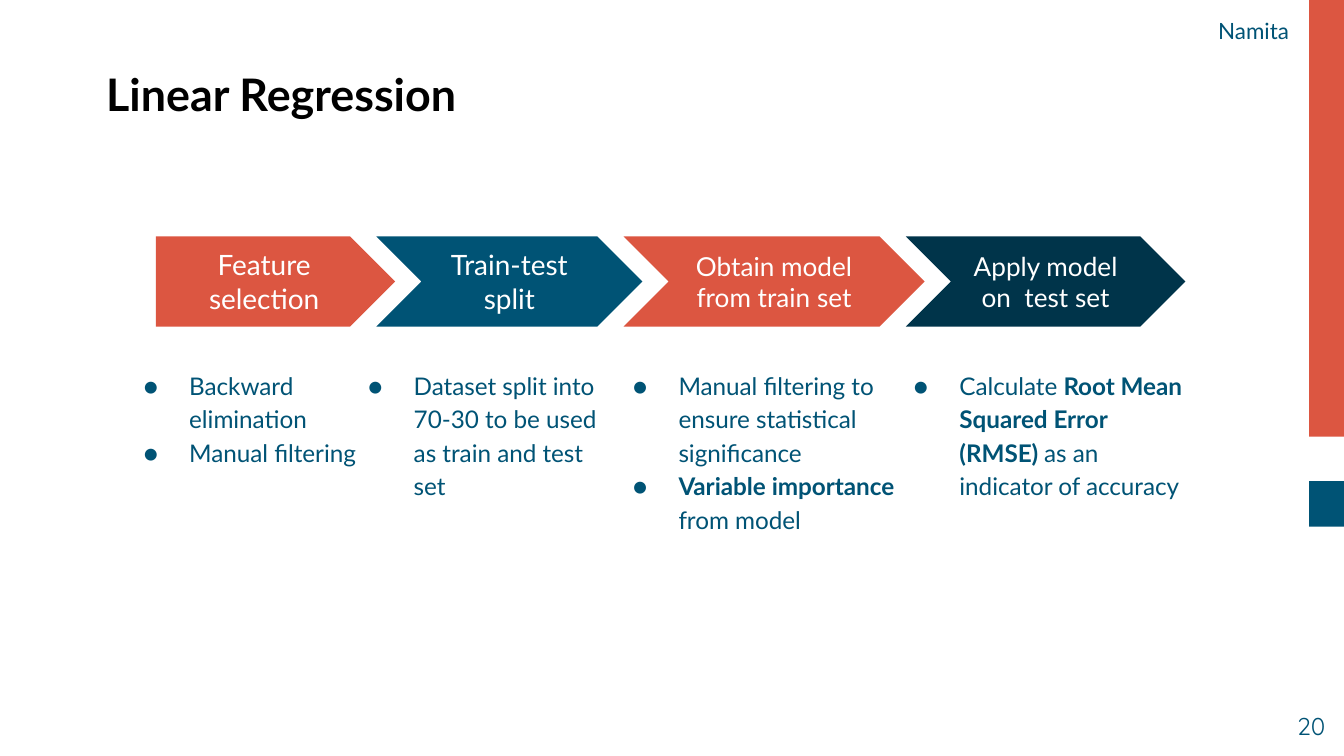
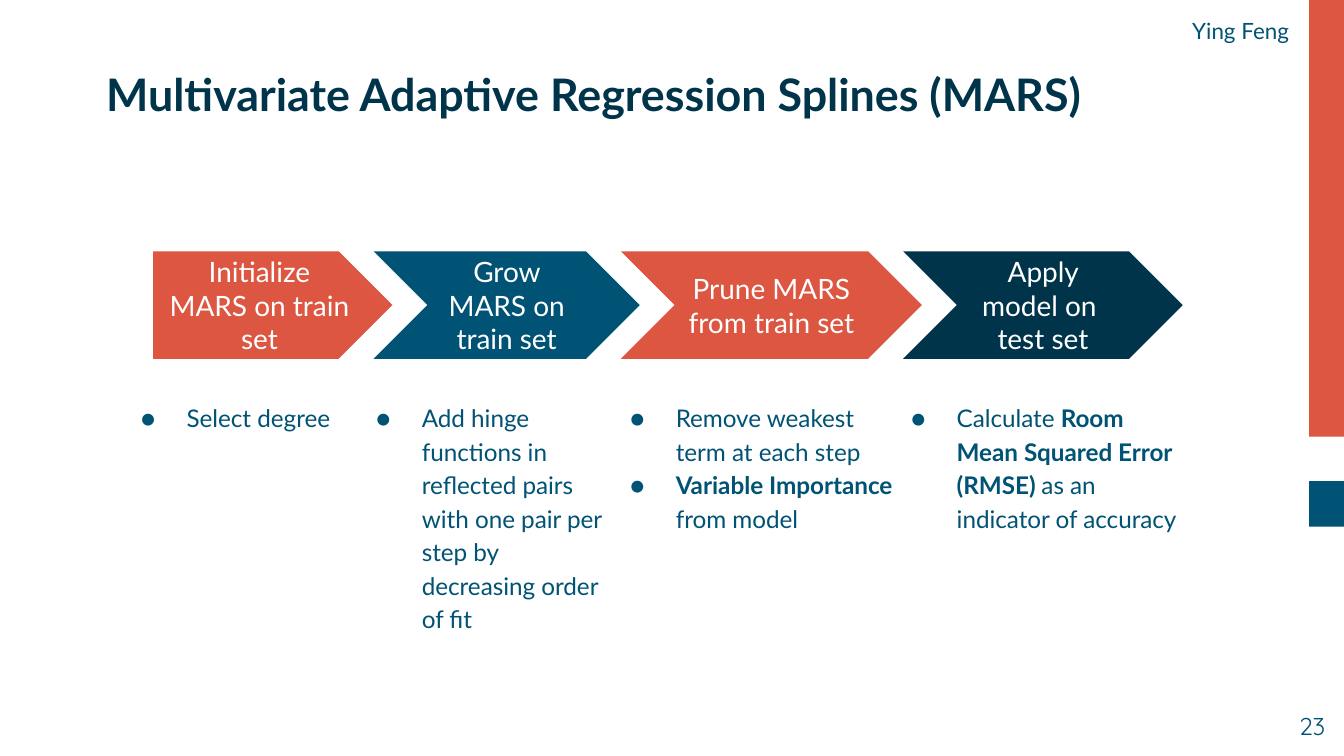
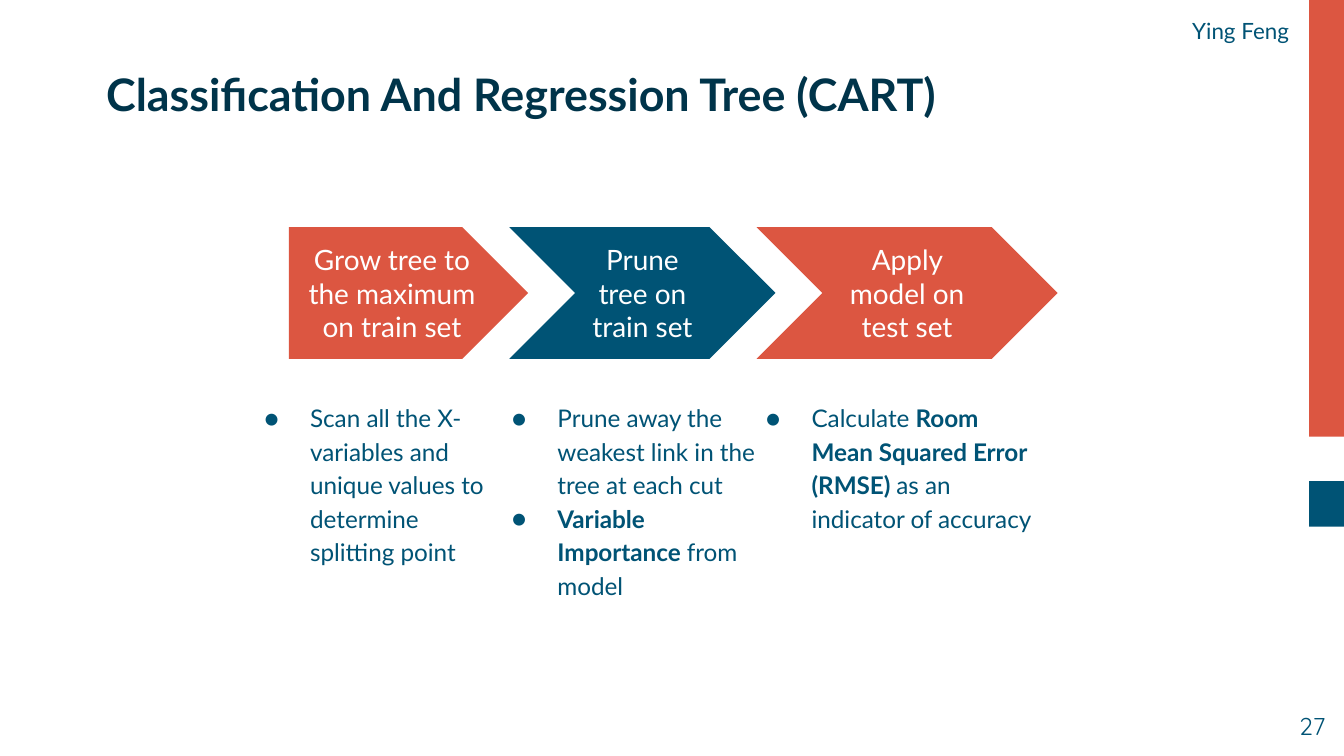
"""Builds three slides that show modelling workflows as arrow rows with notes."""
from collections import namedtuple
from dataclasses import dataclass

from lxml import etree
from pptx import Presentation
from pptx.dml.color import RGBColor
from pptx.enum.shapes import MSO_SHAPE, PP_PLACEHOLDER
from pptx.enum.text import MSO_ANCHOR, MSO_AUTO_SIZE, PP_ALIGN
from pptx.oxml.ns import qn
from pptx.util import Pt

PX = 9144
RECT, PENTAGON, CHEVRON = MSO_SHAPE.RECTANGLE, MSO_SHAPE.PENTAGON, MSO_SHAPE.CHEVRON
LEFT, CENTER, RIGHT = PP_ALIGN.LEFT, PP_ALIGN.CENTER, PP_ALIGN.RIGHT
TOP, MIDDLE = MSO_ANCHOR.TOP, MSO_ANCHOR.MIDDLE
NO_FIT = MSO_AUTO_SIZE.NONE
TITLE = PP_PLACEHOLDER.TITLE

Box = namedtuple("Box", "x y w h")
Step = namedtuple("Step", "label notes note_dx note_w size", defaults=(15,))
Flow = namedtuple("Flow", "title title_color speaker number box steps")


@dataclass(frozen=True)
class Theme:
    """Colours, fonts and type sizes of the deck."""
    coral: str = "DC5641"
    blue: str = "005375"
    navy: str = "00344A"
    black: str = "000000"
    white: str = "FFFFFF"
    font: str = "Lato"
    number_font: str = "Quicksand"
    title: int = 24
    body: int = 13
    speaker: int = 12
    leading: float = 1.15


T = Theme()
SLIDE_W = 1000 * PX
SLIDE_H = SLIDE_W * 9 // 16
TITLE_BOX = Box(69, 48, 882, 43)
SPEAKER_BOX = Box(691, 4, 278, 34)
NUMBER_BOX = Box(936, 519, 60, 43)
BANDS = [(Box(974, 0, 26, 325), T.coral), (Box(974, 358, 26, 34), T.blue)]
INSET, OVERLAP, NOTE_GAP, NOTE_H = 10, 14, 20, 146
NOTE_INDENT, BULLET_HANG = 50, 34
STAGE_W = [178, 198, 224, 208]
STAGE_FILLS = [T.coral, T.blue, T.coral, T.navy]

IMPORTANCE = "**Variable {}** from model"
RMSE = "Calculate **{} Mean Squared Error (RMSE) **as an indicator of accuracy"

FLOWS = [
    Flow("Linear Regression", T.black, "Namita", 20, Box(116, 176, 766, 67), [
        Step("Feature selection", ["Backward elimination", "Manual filtering"], -35, 224),
        Step("Train-test split",
             ["Dataset split into 70-30 to be used as train and test set"], -32, 221),
        Step("Obtain model from train set",
             ["Manual filtering to ensure statistical significance",
              IMPORTANCE.format("importance")], -19, 242, 14),
        Step("Apply model on  test set", [RMSE.format("Root")], -20, 242, 14),
    ]),
    Flow("Multivariate Adaptive Regression Splines (MARS)", T.navy, "Ying Feng", 23,
         Box(114, 187, 766, 80), [
             Step("Initialize MARS on train set", ["Select degree"], -35, 224),
             Step("Grow MARS on train set",
                  ["Add hinge functions in reflected pairs with one pair per step "
                   "by decreasing order of fit"], -24, 208),
             Step("Prune MARS from train set",
                  ["Remove weakest term at each step",
                   IMPORTANCE.format("Importance")], -19, 242),
             Step("Apply model on  test set", [RMSE.format("Room")], -20, 242),
         ]),
    Flow("Classification And Regression Tree (CART)", T.navy, "Ying Feng", 27,
         Box(215, 169, 572, 98), [
             Step("Grow tree to the maximum on train set",
                  ["Scan all the X-variables and unique values to determine "
                   "splitting point"], -44, 207),
             Step("Prune tree on train set",
                  ["Prune away the weakest link in the tree at each cut",
                   IMPORTANCE.format("Importance")], -24, 224),
             Step("Apply model on test set", [RMSE.format("Room")], -19, 242),
         ]),
]


def set_attrs(obj, values):
    """Set each named value on the object."""
    for name, value in values.items():
        setattr(obj, name, value)


def emu(box):
    """Turn a pixel box into EMU lengths."""
    return [v * PX for v in box]


def add_bullet(p):
    """Give the paragraph a hanging round bullet."""
    pPr = p._p.get_or_add_pPr()
    pPr.set("marL", str(NOTE_INDENT * PX))
    pPr.set("indent", str(-BULLET_HANG * PX))
    color = etree.SubElement(pPr, qn("a:buClr"))
    etree.SubElement(color, qn("a:srgbClr"), val=T.blue)
    etree.SubElement(pPr, qn("a:buFont"), typeface=T.font)
    etree.SubElement(pPr, qn("a:buChar"), char="●")


def write(sp, lines, size, color, align=LEFT, anchor=MIDDLE, font=T.font,
          bold=False, leading=1.0, bullets=False):
    """Fill the shape with paragraphs, where ** marks bold runs."""
    tf = sp.text_frame
    margins = dict.fromkeys(
        ("margin_left", "margin_top", "margin_right", "margin_bottom"), INSET * PX)
    set_attrs(tf, {"word_wrap": True, "auto_size": NO_FIT,
                   "vertical_anchor": anchor, **margins})
    for i, line in enumerate(lines):
        p = tf.add_paragraph() if i else tf.paragraphs[0]
        if bullets:
            add_bullet(p)
        set_attrs(p, {"alignment": align, "line_spacing": leading})
        for j, part in enumerate(line.split("**")):
            if part:
                r = p.add_run()
                r.text = part
                set_attrs(r.font, {"name": font, "size": Pt(size),
                                   "bold": bold or j % 2 == 1})
                r.font.color.rgb = RGBColor.from_string(color)


def add_block(s, kind, box, fill):
    """Add a flat preset shape without outline."""
    sp = s.shapes.add_shape(kind, *emu(box))
    sp.shadow.inherit = False
    sp.fill.solid()
    sp.fill.fore_color.rgb = RGBColor.from_string(fill)
    sp.line.fill.background()
    return sp


def add_text(s, box, lines, size, color, **style):
    """Add a text box with formatted lines."""
    write(s.shapes.add_textbox(*emu(box)), lines, size, color, **style)


def add_bands(s, layout):
    """Put the side bands on the layout that all slides share."""
    for ph in list(layout.placeholders):
        if ph.placeholder_format.type != TITLE:
            ph.element.getparent().remove(ph.element)
    bands = [add_block(s, RECT, box, fill) for box, fill in BANDS]
    for sp in bands:
        layout.shapes.element.append(sp.element)


def add_frame(s, flow):
    """Place the title, speaker and slide number."""
    title = s.shapes.title
    set_attrs(title, dict(zip(("left", "top", "width", "height"), emu(TITLE_BOX))))
    write(title, [flow.title], T.title, flow.title_color, bold=True)
    add_text(s, SPEAKER_BOX, [flow.speaker], T.speaker, T.blue, align=RIGHT,
             leading=T.leading)
    add_text(s, NUMBER_BOX, [str(flow.number)], T.body, T.blue, align=RIGHT,
             anchor=TOP, font=T.number_font)


def add_flow(s, box, steps):
    """Place a row of arrows with the notes below each one."""
    x = box.x
    for i, (step, w, fill) in enumerate(zip(steps, STAGE_W, STAGE_FILLS)):
        sp = add_block(s, CHEVRON if i else PENTAGON, Box(x, box.y, w, box.h), fill)
        write(sp, [step.label], step.size, T.white, align=CENTER)
        note_box = Box(x + step.note_dx, box.y + box.h + NOTE_GAP, step.note_w, NOTE_H)
        add_text(s, note_box, step.notes, T.body, T.blue, anchor=TOP,
                 leading=T.leading, bullets=True)
        x += w - OVERLAP


def main():
    """Build the deck and save it."""
    prs = Presentation()
    set_attrs(prs, {"slide_width": SLIDE_W, "slide_height": SLIDE_H})
    layout = prs.slide_layouts.get_by_name("Title Only")
    for i, flow in enumerate(FLOWS):
        s = prs.slides.add_slide(layout)
        if i == 0:
            add_bands(s, layout)
        add_frame(s, flow)
        add_flow(s, flow.box, flow.steps)
    prs.save("out.pptx")


if __name__ == "__main__":
    main()
